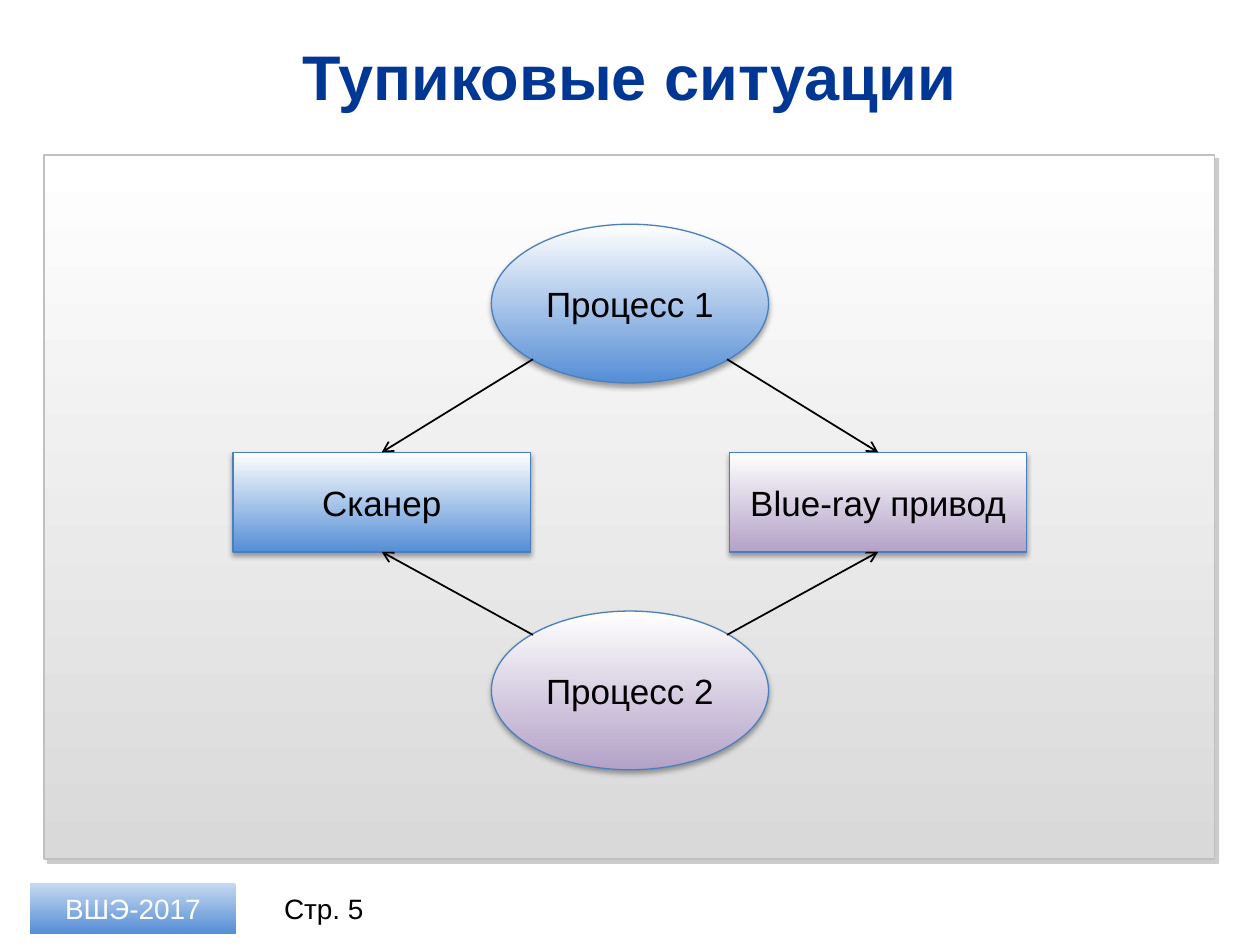
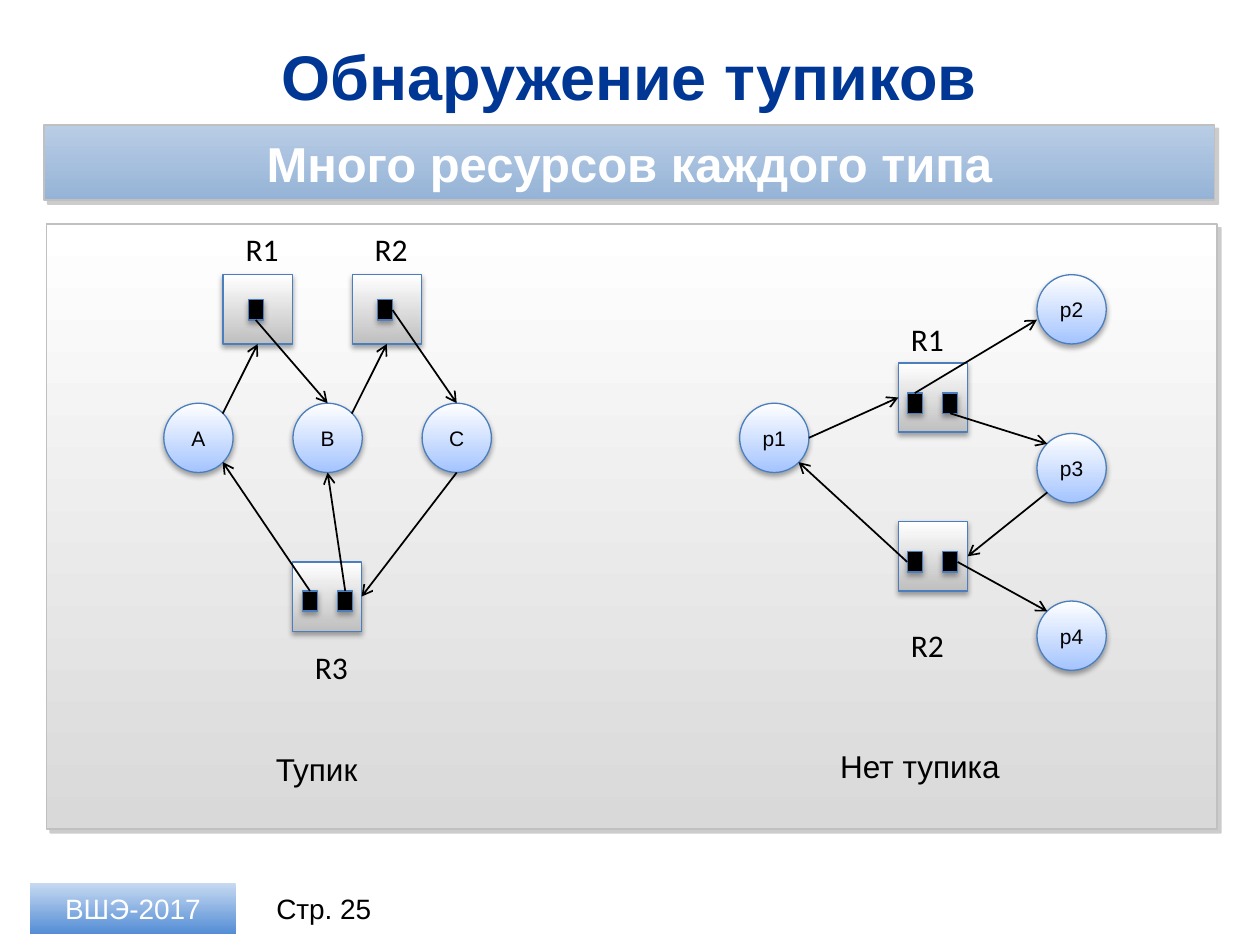
"""Builds two slides on deadlocks: a two-process cycle and resource graphs."""
import lxml.etree
import pptx
import pptx.dml.color
import pptx.enum.shapes
import pptx.enum.text
import pptx.oxml.ns
import pptx.util

COLUMNS, ROWS = 100, 75
RECTANGLE = pptx.enum.shapes.MSO_SHAPE.RECTANGLE
OVAL = pptx.enum.shapes.MSO_SHAPE.OVAL
CENTER = pptx.enum.text.PP_ALIGN.CENTER
LEFT = pptx.enum.text.PP_ALIGN.LEFT
MIDDLE = pptx.enum.text.MSO_ANCHOR.MIDDLE
TOP = pptx.enum.text.MSO_ANCHOR.TOP

NAVY, BLACK, WHITE = "003794", "000000", "FFFFFF"
SILVER, OUTLINE = "C0C0C0", "4B7EBC"
FOOTER_FILL = ("C6D9F1", "558ED5")
PANEL_FILL = (WHITE, "D9D9D9")
BANNER_FILL = ("B9CDE5", "95B3D7")
BLUE_FILL = (WHITE, "558ED5")
PURPLE_FILL = (WHITE, "B3A2C7")
NODE_FILL = (WHITE, "A4C4FF")
RESOURCE_FILL = (WHITE, "BFBFBF")
PANEL_SHADOW = ("808080", 40, 0, 3, 45)
OBJECT_SHADOW = (BLACK, 35, 3.1, 1.8, 90)

NODE = 5.5
SIDES = ("top", "left", "bottom", "right")
SITES = {
    "top": (0.5, 0), "left": (0, 0.5), "bottom": (0.5, 1), "right": (1, 0.5),
    "top_left": (0.15, 0.15), "top_right": (0.85, 0.15),
    "bottom_left": (0.15, 0.85), "bottom_right": (0.85, 0.85),
    "low_left": (0, 0.65),
}


def color(value):
    return pptx.dml.color.RGBColor.from_string(value)


def add_element(parent, tag, **attributes):
    return lxml.etree.SubElement(parent, pptx.oxml.ns.qn(tag), attributes)


class Deck:
    def __init__(self):
        self.presentation = pptx.Presentation()
        self.presentation.slide_width = pptx.util.Inches(10)
        self.presentation.slide_height = pptx.util.Inches(7.5)
        self.slide = None

    def box(self, left, top, width, height):
        column = self.presentation.slide_width / COLUMNS
        row = self.presentation.slide_height / ROWS
        return [round(value) for value in
                (left * column, top * row, width * column, height * row)]

    def add_text(self, shape, text, size, tone=BLACK, bold=False, font="Arial",
                 align=CENTER, anchor=MIDDLE):
        frame = shape.text_frame
        frame.word_wrap = True
        frame.vertical_anchor = anchor
        paragraph = frame.paragraphs[0]
        paragraph.alignment = align
        run = paragraph.add_run()
        run.text = text
        run.font.name = font
        run.font.size = pptx.util.Pt(size)
        run.font.bold = bold
        run.font.color.rgb = color(tone)

    def new_slide(self, title, number):
        layout = self.presentation.slide_layouts.get_by_name("Title Only")
        self.slide = self.presentation.slides.add_slide(layout)
        heading = self.slide.shapes.title
        heading.left, heading.top, heading.width, heading.height = self.box(3.5, 2.6, 92.9, 6.8)
        self.add_text(heading, title, 36, NAVY, bold=True)
        self.label((20.3, 70.1, 10.8, 4), f"Стр. {number}", 16, align=CENTER, anchor=MIDDLE)
        footer = self.shape(RECTANGLE, (2.4, 70.1, 16.3, 4), FOOTER_FILL, None, None)
        self.add_text(footer, "ВШЭ-2017", 16, WHITE)

    def label(self, place, text, size=18, **style):
        textbox = self.slide.shapes.add_textbox(*self.box(*place))
        self.add_text(textbox, text, size, **{"align": LEFT, "anchor": TOP, **style})

    def shape(self, kind, place, fill, line=OUTLINE, shadow=OBJECT_SHADOW, line_width=0.75):
        shape = self.slide.shapes.add_shape(kind, *self.box(*place))
        frame = shape.text_frame
        frame.margin_left = frame.margin_right = frame.margin_top = frame.margin_bottom = 0
        if isinstance(fill, str):
            shape.fill.solid()
            shape.fill.fore_color.rgb = color(fill)
        else:
            shape.fill.gradient()
            shape.fill.gradient_angle = 270
            for stop, tone in zip(shape.fill.gradient_stops, fill):
                stop.color.rgb = color(tone)
        if line:
            shape.line.color.rgb = color(line)
            shape.line.width = pptx.util.Pt(line_width)
        else:
            shape.line.fill.background()
        shape.shadow.inherit = False
        if shadow:
            self.cast_shadow(shape, *shadow)
        return shape

    def cast_shadow(self, shape, tone, opacity, blur, distance, angle):
        effects = shape._element.spPr.find(pptx.oxml.ns.qn("a:effectLst"))
        outer = add_element(effects, "a:outerShdw", blurRad=str(pptx.util.Pt(blur)),
                            dist=str(pptx.util.Pt(distance)), dir=str(angle * 60000),
                            rotWithShape="0")
        tint = add_element(outer, "a:srgbClr", val=tone)
        add_element(tint, "a:alpha", val=str(opacity * 1000))

    def panel(self, place, fill=PANEL_FILL):
        return self.shape(RECTANGLE, place, fill, SILVER, PANEL_SHADOW, 1)

    def captioned(self, kind, place, fill, text, size=20):
        shape = self.shape(kind, place, fill)
        self.add_text(shape, text, size)
        return shape

    def node(self, left, top, text):
        return self.captioned(OVAL, (left, top, NODE, NODE), NODE_FILL, text, 12)

    def resource(self, left, top, text, label_shift, unit_shifts):
        square = self.shape(RECTANGLE, (left, top, NODE, NODE), RESOURCE_FILL)
        across, down = label_shift
        self.label((left + across, top + down, NODE, 4), text, font="Calibri")
        units = [self.shape(RECTANGLE, (left + x, top + y, 1.2, 1.6), BLACK)
                 for x, y in unit_shifts]
        return square, units

    def arrow(self, start, start_site, end, end_site):
        points = []
        for shape, site in ((start, start_site), (end, end_site)):
            across, down = SITES[site]
            points += [round(shape.left + across * shape.width),
                       round(shape.top + down * shape.height)]
        connector = self.slide.shapes.add_connector(
            pptx.enum.shapes.MSO_CONNECTOR.STRAIGHT, *points)
        for shape, site, connect in ((start, start_site, connector.begin_connect),
                                     (end, end_site, connector.end_connect)):
            if shape.auto_shape_type == RECTANGLE:
                connect(shape, SIDES.index(site))
        connector.line.color.rgb = color(BLACK)
        connector.line.width = pptx.util.Pt(1)
        properties = connector._element.spPr
        add_element(properties.find(pptx.oxml.ns.qn("a:ln")), "a:tailEnd", type="arrow")
        add_element(properties, "a:effectLst")


def build_deadlock(deck):
    deck.new_slide("Тупиковые ситуации", 5)
    deck.panel((3.5, 12.3, 92.9, 55.9))
    scanner = deck.captioned(RECTANGLE, (18.5, 35.9, 23.6, 7.9), BLUE_FILL, "Сканер")
    drive = deck.captioned(RECTANGLE, (57.9, 35.9, 23.6, 7.9), PURPLE_FILL, "Blue-ray привод")
    first = deck.captioned(OVAL, (39, 17.8, 22, 12.6), BLUE_FILL, "Процесс 1")
    second = deck.captioned(OVAL, (39, 48.5, 22, 12.6), PURPLE_FILL, "Процесс 2")
    for process, process_side, device_side in ((first, "bottom", "top"),
                                               (second, "top", "bottom")):
        deck.arrow(process, f"{process_side}_left", scanner, device_side)
        deck.arrow(process, f"{process_side}_right", drive, device_side)


def draw_deadlocked_graph(deck):
    pitch = 10.25
    a, b, c = [deck.node(13 + pitch * index, 32, name) for index, name in enumerate("ABC")]
    (r1, r1_units), (r2, r2_units) = [
        deck.resource(17.7 + pitch * index, 21.8, name, (0.8, -4), [(2, 2)])
        for index, name in enumerate(("R1", "R2"))]
    r3, r3_units = deck.resource(23.2, 44.6, "R3", (0.8, 6.3), [(0.8, 2.3), (3.6, 2.3)])
    for link in ((a, "top_right", r1, "bottom"),
                 (r1_units[0], "bottom", b, "top"),
                 (r3_units[0], "top", a, "bottom_right"),
                 (b, "top_right", r2, "bottom"),
                 (r2_units[0], "right", c, "top"),
                 (c, "bottom", r3, "right"),
                 (r3_units[1], "top", b, "bottom")):
        deck.arrow(*link)
    deck.label((20.9, 59, 9.8, 4), "Тупик")


def draw_free_graph(deck):
    p1 = deck.node(58.7, 32, "p1")
    p2, p3, p4 = [deck.node(82.3, top, name)
                  for top, name in ((21.8, "p2"), (34.4, "p3"), (47.7, "p4"))]
    unit_shifts = [(0.7, 2.4), (3.5, 2.4)]
    r1, r1_units = deck.resource(71.3, 28.8, "R1", (0, -3.9), unit_shifts)
    r2, r2_units = deck.resource(71.3, 41.4, "R2", (0, 7.8), unit_shifts)
    for link in ((r1_units[0], "top", p2, "low_left"),
                 (r1_units[1], "bottom", p3, "top_left"),
                 (r2_units[0], "left", p1, "bottom_right"),
                 (r2_units[1], "right", p4, "top_left"),
                 (p1, "right", r1, "left"),
                 (p3, "bottom_left", r2, "right")):
        deck.arrow(*link)
    deck.label((65.7, 58.8, 17.6, 4), "Нет тупика")


def build_detection(deck):
    deck.new_slide("Обнаружение тупиков", 25)
    deck.panel((3.7, 17.8, 92.9, 48))
    banner = deck.panel((3.5, 9.9, 92.9, 6), BANNER_FILL)
    deck.add_text(banner, "Много ресурсов каждого типа", 28, WHITE, bold=True)
    draw_deadlocked_graph(deck)
    draw_free_graph(deck)


def main():
    deck = Deck()
    build_deadlock(deck)
    build_detection(deck)
    deck.presentation.save("out.pptx")


if __name__ == "__main__":
    main()
